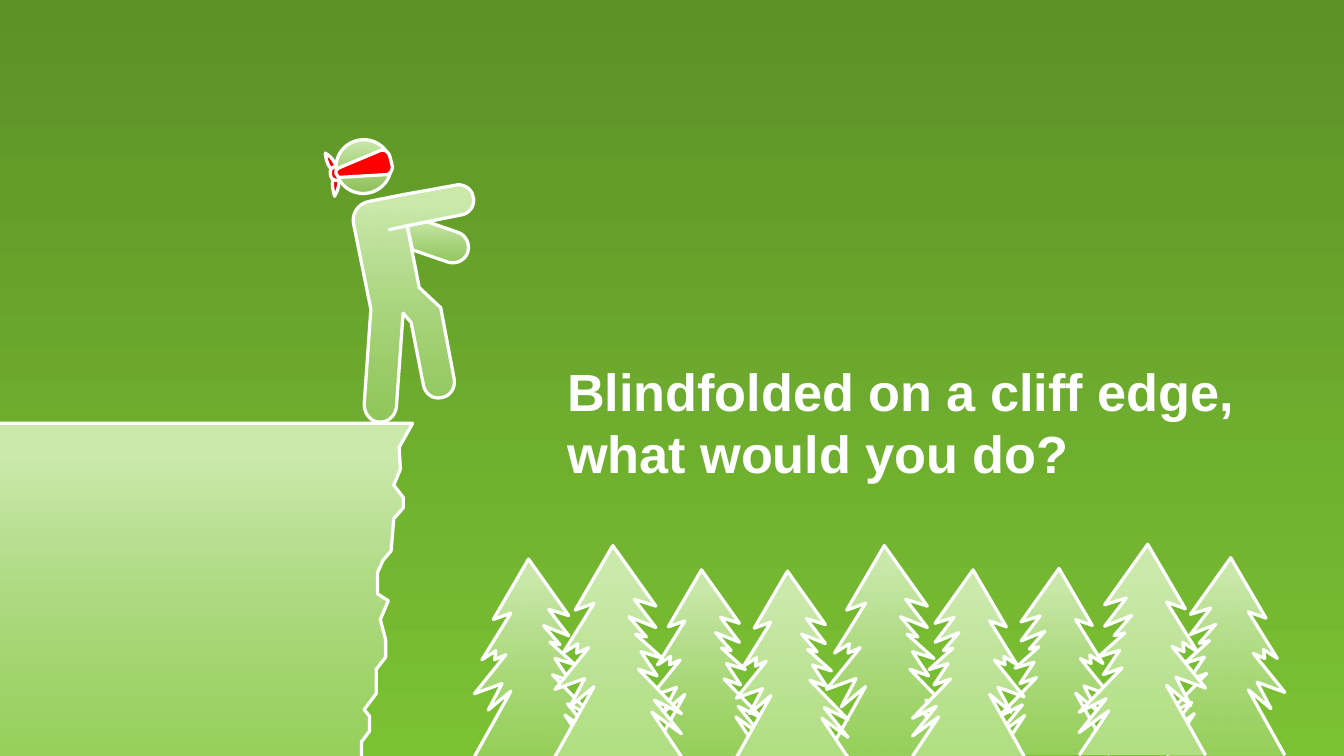
"""Build a slide of a blindfolded figure on a cliff edge above a row of trees."""
import copy
import math
from dataclasses import dataclass

from lxml import etree
from pptx import Presentation
from pptx import util as u
from pptx.dml.color import RGBColor
from pptx.enum import shapes, text
from pptx.oxml import ns

PX = 9144
TILT = 348.7
CURVE_STEPS = 8


@dataclass(frozen=True)
class Theme:
    """Colours and type sizes of the slide."""
    sky: tuple = ((0, "5C9126"), (1, "7BC233"))
    pale: tuple = ((0.1, "CAE9AB"), (1, "B0DE81"))
    blindfold: str = "FF0000"
    white: str = "FFFFFF"
    font: str = "Arial"
    title_size: int = 28
    line_width: float = 1.75


THEME = Theme()

CLIFF = [(0, 315), (307, 315), (297, 333), (298, 349), (293, 361), (300, 370),
         (300, 378), (293, 386), (292, 399), (291, 410), (285, 417), (281, 426),
         (281, 442), (289, 447), (283, 461), (287, 476), (287, 489), (280, 498),
         (280, 516), (271, 528), (275, 533), (275, 544), (269, 552), (269, 566),
         (0, 566)]

UPPER_TAIL = [(250, 124), (250, 124, 249, 118, 242, 114),
              (242, 114, 243, 124, 247, 126)]
LOWER_TAIL = [(252, 134), (252, 134, 253, 139, 249, 146),
              (249, 146, 246, 137, 248, 133)]
KNOT = [(252, 134), (249, 135, 246, 133, 246, 130),
        (245, 127, 247, 124, 250, 124)]
FAR_ARM = [(303, 168), (307, 186), (333, 195), (339, 197, 346, 194, 348, 188),
           (350, 182, 347, 175, 341, 173), (318, 165)]
BODY = [(338, 138), (299, 145), (274, 150), (266, 152, 262, 159, 263, 166),
        (276, 230), (271, 301), (271, 307, 275, 313, 281, 314),
        (288, 315, 294, 310, 295, 303), (300, 233), (306, 240), (315, 286),
        (316, 293, 322, 297, 328, 296), (335, 295, 339, 289, 338, 282),
        (328, 229), (312, 214), (303, 168), (343, 160),
        (350, 159, 354, 152, 352, 146), (351, 140, 344, 136, 338, 138)]
BAND = [(253, 132), (287, 130), (290, 130, 292, 127, 292, 124), (290, 116),
        (289, 113, 286, 111, 283, 112), (252, 125), (251, 126, 250, 127, 250, 128),
        (250, 129), (251, 131, 252, 132, 253, 132)]

TREE_WIDTH = 94
TREE = [(0, 157), (29, 105), (11, 120), (22, 99), (0, 107), (25, 76), (16, 80),
        (17, 73), (6, 80), (29, 43), (15, 48), (43, 0), (75, 45), (59, 40),
        (75, 61), (55, 53), (68, 68), (60, 66), (80, 84), (64, 79), (76, 97),
        (62, 92), (94, 125), (74, 115), (94, 140), (72, 124), (94, 157)]
TREES = [
    (615, 406, 94, False, 50), (484, 424, 83, False, 50),
    (353, 416, 88, False, 50), (413, 406, 94, False, 100),
    (548, 425, 83, False, 100), (743, 423, 83, True, 50),
    (868, 415, 88, True, 50), (803, 405, 94, True, 100),
    (679, 424, 83, True, 100),
]


def px(value):
    """Turn px into EMU."""
    return u.Emu(round(value * PX))


def rotate(x, y, degrees):
    """Turn a point clockwise about the origin."""
    angle = math.radians(degrees)
    return (x * math.cos(angle) - y * math.sin(angle),
            x * math.sin(angle) + y * math.cos(angle))


def flatten(outline):
    """Turn an outline of points and cubic curves into points only."""
    points = []
    for step in outline:
        if len(step) == 2:
            points.append(step)
            continue
        knots = [points[-1], step[:2], step[2:4], step[4:]]
        for i in range(1, CURVE_STEPS + 1):
            t = i / CURVE_STEPS
            weights = [math.comb(3, k) * t**k * (1 - t)**(3 - k) for k in range(4)]
            points.append(tuple(sum(w * knot[axis] for w, knot in zip(weights, knots))
                                for axis in (0, 1)))
    return points


def set_gradient(fill, stops):
    """Fill with a gradient that runs from top to bottom."""
    fill.gradient()
    fill.gradient_angle = 270
    for stop, (position, color) in zip(fill.gradient_stops, stops):
        stop.position = position
        stop.color.rgb = RGBColor.from_string(color)


def style_line(item):
    """Give a shape or connector the white outline."""
    item.line.color.rgb = RGBColor.from_string(THEME.white)
    item.line.width = u.Pt(THEME.line_width)


def style_shape(shape, color=None, opacity=100):
    """Fill a shape with a colour or the pale gradient, and outline it."""
    shape.shadow.inherit = False
    if color:
        shape.fill.solid()
        shape.fill.fore_color.rgb = RGBColor.from_string(color)
    else:
        set_gradient(shape.fill, THEME.pale)
        shape.element.spPr.find(ns.qn("a:gradFill")).set("rotWithShape", "0")
        if opacity < 100:
            end_color = shape.element.findall(".//" + ns.qn("a:srgbClr"))[-1]
            etree.SubElement(end_color, ns.qn("a:alpha"), val=str(opacity * 1000))
    style_line(shape)


def add_outline(canvas, outline, closed=False, tilt=0, **style):
    """Draw an outline, held in a frame tilted by some degrees."""
    points = [tuple(px(v) for v in rotate(x, y, -tilt)) for x, y in flatten(outline)]
    builder = canvas.build_freeform(*points[0], scale=1.0)
    builder.add_line_segments(points[1:], close=closed)
    shape = builder.convert_to_shape()
    if tilt:
        half_width, half_height = shape.width / 2, shape.height / 2
        x, y = rotate(shape.left + half_width, shape.top + half_height, tilt)
        shape.left, shape.top = round(x - half_width), round(y - half_height)
        shape.rotation = tilt
    style_shape(shape, **style)


def add_line(canvas, start, end):
    """Draw a straight white line."""
    line = canvas.add_connector(shapes.MSO_CONNECTOR.STRAIGHT,
                                *(px(v) for v in start + end))
    style_line(line)
    etree.SubElement(line.element.spPr, ns.qn("a:effectLst"))


def write_text(box, lines, *, size, color, font, bold=False):
    """Write lines into one paragraph of a box with the given format."""
    para = box.text_frame.paragraphs[0]
    para.alignment = text.PP_ALIGN.LEFT
    for i, line in enumerate(lines):
        if i:
            para.add_line_break()
        span = para.add_run()
        span.text = line
        span.font.size = u.Pt(size)
        span.font.bold = bold
        span.font.name = font
        span.font.color.rgb = RGBColor.from_string(color)
    for gap in box.element.iter(ns.qn("a:br")):
        gap.append(copy.deepcopy(gap.getprevious().find(ns.qn("a:rPr"))))


def add_title(page):
    """Place and write the title."""
    box = page.shapes.title
    box.left, box.top, box.width, box.height = (px(v) for v in (412, 262, 522, 104))
    frame = box.text_frame
    frame.word_wrap = False
    frame.auto_size = text.MSO_AUTO_SIZE.SHAPE_TO_FIT_TEXT
    frame.vertical_anchor = text.MSO_ANCHOR.TOP
    write_text(box, ["Blindfolded on a cliff edge,", "what would you do?"],
               size=THEME.title_size, color=THEME.white, font=THEME.font, bold=True)


def add_figure(page):
    """Draw the blindfolded figure."""
    canvas = page.shapes.add_group_shape().shapes
    for outline in (UPPER_TAIL, LOWER_TAIL, KNOT):
        add_outline(canvas, outline, tilt=TILT, color=THEME.blindfold)
    for outline in (FAR_ARM, BODY):
        add_outline(canvas, outline, closed=True, tilt=TILT, opacity=50)
    head = canvas.add_shape(shapes.MSO_SHAPE.OVAL, *(px(v) for v in (250, 104, 41, 40)))
    head.rotation = TILT
    style_shape(head, opacity=50)
    add_line(canvas, (303, 168), (289, 171))
    add_outline(canvas, BAND, closed=True, tilt=TILT, color=THEME.blindfold)


def add_forest(page):
    """Draw the trees from one outline, scaled and mirrored."""
    canvas = page.shapes.add_group_shape().shapes
    for left, top, width, mirrored, opacity in TREES:
        scale = width / TREE_WIDTH
        outline = [(left + scale * (TREE_WIDTH - x if mirrored else x), top + scale * y)
                   for x, y in TREE]
        add_outline(canvas, outline, opacity=opacity)


def main():
    """Build and save the deck."""
    deck = Presentation()
    deck.slide_width = px(1000)
    deck.slide_height = deck.slide_width * 9 // 16
    page = deck.slides.add_slide(deck.slide_layouts[5])
    set_gradient(page.background.fill, THEME.sky)
    add_outline(page.shapes, CLIFF, opacity=50)
    add_title(page)
    add_figure(page)
    add_forest(page)
    deck.save("out.pptx")


if __name__ == "__main__":
    main()
